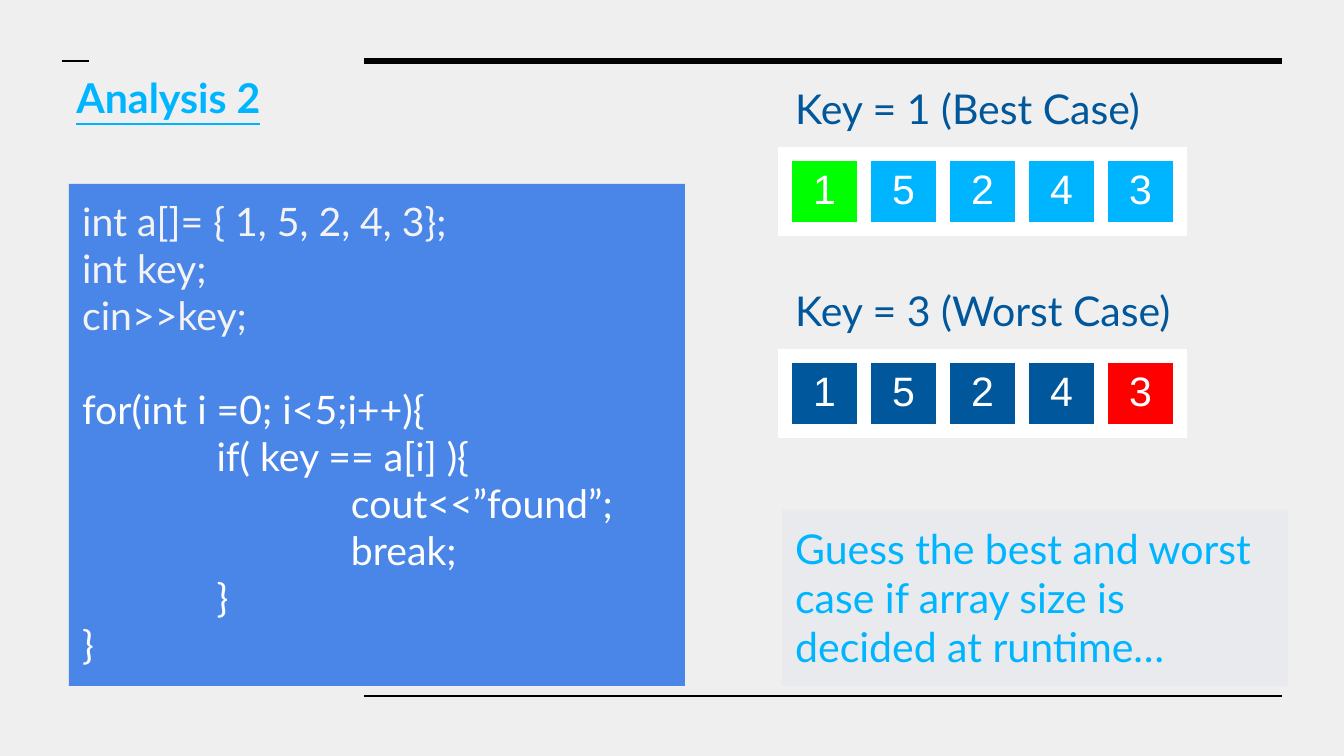
from lxml import etree
from pptx import Presentation
from pptx.dml.color import RGBColor
from pptx.enum.shapes import MSO_CONNECTOR, MSO_SHAPE
from pptx.enum.text import MSO_ANCHOR, MSO_AUTO_SIZE, PP_ALIGN
from pptx.oxml.ns import qn
from pptx.util import Emu, Inches, Pt

LEFT, CENTER = PP_ALIGN.LEFT, PP_ALIGN.CENTER
TOP = MSO_ANCHOR.TOP
NO_FIT = MSO_AUTO_SIZE.NONE
RECT = MSO_SHAPE.RECTANGLE
STRAIGHT = MSO_CONNECTOR.STRAIGHT
SCALE = 914400 / 134.4
TITLE_ONLY = 5
COLORS = {
    "back": "EFEFEF", "black": "000000", "white": "FFFFFF", "pale": "F3F3F3",
    "sky": "00B5FF", "navy": "01579B", "code": "4A86E8", "note": "E8EAED",
    "green": "00FF00", "red": "FF0000",
}
DECLARATIONS = ["int a[]= { 1, 5, 2, 4, 3};", "int key;", "cin>>key;", ""]
LOOP = ["for(int i =0; i<5;i++){", "\tif( key == a[i] ){",
        "\t\tcout<<”found”;", "\t\tbreak;", "\t}", "}"]


def px(n):
    """Turn pixels into EMU."""
    return Emu(round(n * SCALE))


def rgb(name):
    """Look up a colour by name."""
    return RGBColor.from_string(COLORS[name])


def write(p, text, color="white", size=22, font="Lato", align=LEFT,
          bold=False, underline=False, tabs=0):
    """Write formatted text into a paragraph."""
    p.alignment = align
    if tabs:
        tab_list = etree.SubElement(p._p.get_or_add_pPr(), qn("a:tabLst"))
        for i in range(1, tabs + 1):
            etree.SubElement(tab_list, qn("a:tab"), pos=str(Inches(i)), algn="l")
    if not text:
        p._p.get_or_add_endParaRPr().set("sz", str(size * 100))
        return
    r = p.add_run()
    r.text = text
    r.font.name, r.font.size = font, Pt(size)
    r.font.bold, r.font.underline = bold, underline
    r.font.color.rgb = rgb(color)


class Deck:
    """Hold the style and the current slide."""

    def __init__(self, width, height):
        """Start a deck with one title slide."""
        self.prs = Presentation()
        self.prs.slide_width, self.prs.slide_height = px(width), px(height)
        self.s = self.prs.slides.add_slide(self.prs.slide_layouts[TITLE_ONLY])
        self.s.background.fill.solid()
        self.s.background.fill.fore_color.rgb = rgb("back")
        self.margin = Inches(0.1)

    def frame(self, sp):
        """Set up the text frame of a shape."""
        tf = sp.text_frame
        tf.word_wrap, tf.auto_size, tf.vertical_anchor = True, NO_FIT, TOP
        tf.margin_left = tf.margin_right = self.margin
        tf.margin_top = tf.margin_bottom = self.margin
        return tf

    def title(self, text, x, y, w, h, **style):
        """Move and fill the title placeholder."""
        sp = self.s.shapes.title
        sp.left, sp.top, sp.width, sp.height = map(px, (x, y, w, h))
        write(self.frame(sp).paragraphs[0], text, **style)

    def text(self, text, x, y, w, h, **style):
        """Add a text box."""
        sp = self.s.shapes.add_textbox(*map(px, (x, y, w, h)))
        write(self.frame(sp).paragraphs[0], text, **style)

    def panel(self, x, y, w, h, fill):
        """Add a filled rectangle and return its text frame."""
        sp = self.s.shapes.add_shape(RECT, *map(px, (x, y, w, h)))
        sp.shadow.inherit = False
        sp.fill.solid()
        sp.fill.fore_color.rgb = rgb(fill)
        sp.line.fill.background()
        return self.frame(sp)

    def rule(self, x1, x2, y, weight):
        """Add a horizontal line."""
        sp = self.s.shapes.add_connector(STRAIGHT, px(x1), px(y), px(x2), px(y))
        sp.line.color.rgb = rgb("black")
        sp.line.width = Pt(weight)
        etree.SubElement(sp._element.spPr, qn("a:effectLst"))

    def array(self, values, x, y, fills, col=79, row=75):
        """Add a one-row table of values with thick white borders."""
        size = map(px, (x, y, col * len(values), row))
        table = self.s.shapes.add_table(1, len(values), *size).table
        table.first_row = table.horz_banding = False
        for i, (value, fill) in enumerate(zip(values, fills)):
            table.columns[i].width = px(col)
            cell = table.cell(0, i)
            cell.margin_left = cell.margin_right = self.margin
            cell.margin_top = cell.margin_bottom = self.margin
            cell.fill.solid()
            cell.fill.fore_color.rgb = rgb(fill)
            write(cell.text_frame.paragraphs[0], str(value), font="Arial", align=CENTER)
            self.borders(cell)

    def borders(self, cell):
        """Draw all four borders of a cell."""
        props = cell._tc.get_or_add_tcPr()
        for i, side in enumerate("LRTB"):
            ln = etree.Element(qn(f"a:ln{side}"), w=str(Pt(9)))
            solid = etree.SubElement(ln, qn("a:solidFill"))
            etree.SubElement(solid, qn("a:srgbClr"), val=COLORS["white"])
            props.insert(i, ln)


def main():
    """Build the slide."""
    deck = Deck(1344, 756)
    deck.rule(364, 1282, 61, 3)
    deck.rule(364, 1282, 696, 1.5)
    deck.rule(62, 89, 61, 1.5)
    deck.title("Analysis 2", 63, 59, 235, 77, color="sky", bold=True, underline=True)

    tf = deck.panel(69, 184, 616, 502, "code")
    for i, line in enumerate(DECLARATIONS + LOOP):
        p = tf.add_paragraph() if i else tf.paragraphs[0]
        color = "pale" if i < len(DECLARATIONS) else "white"
        write(p, line, color=color, size=21, tabs=line.count("\t"))

    values = [1, 5, 2, 4, 3]
    cases = [("Key = 1 (Best Case)", 70, ["green"] + ["sky"] * 4),
             ("Key = 3 (Worst Case)", 272, ["navy"] * 4 + ["red"])]
    for label, y, fills in cases:
        deck.text(label, 782, y, 426, 77, color="navy")
        deck.array(values, 785, y + 84, fills)

    tf = deck.panel(782, 510, 506, 176, "note")
    write(tf.paragraphs[0],
          "Guess the best and worst case if array size is decided at runtime…",
          color="sky")
    deck.prs.save("out.pptx")


if __name__ == "__main__":
    main()
